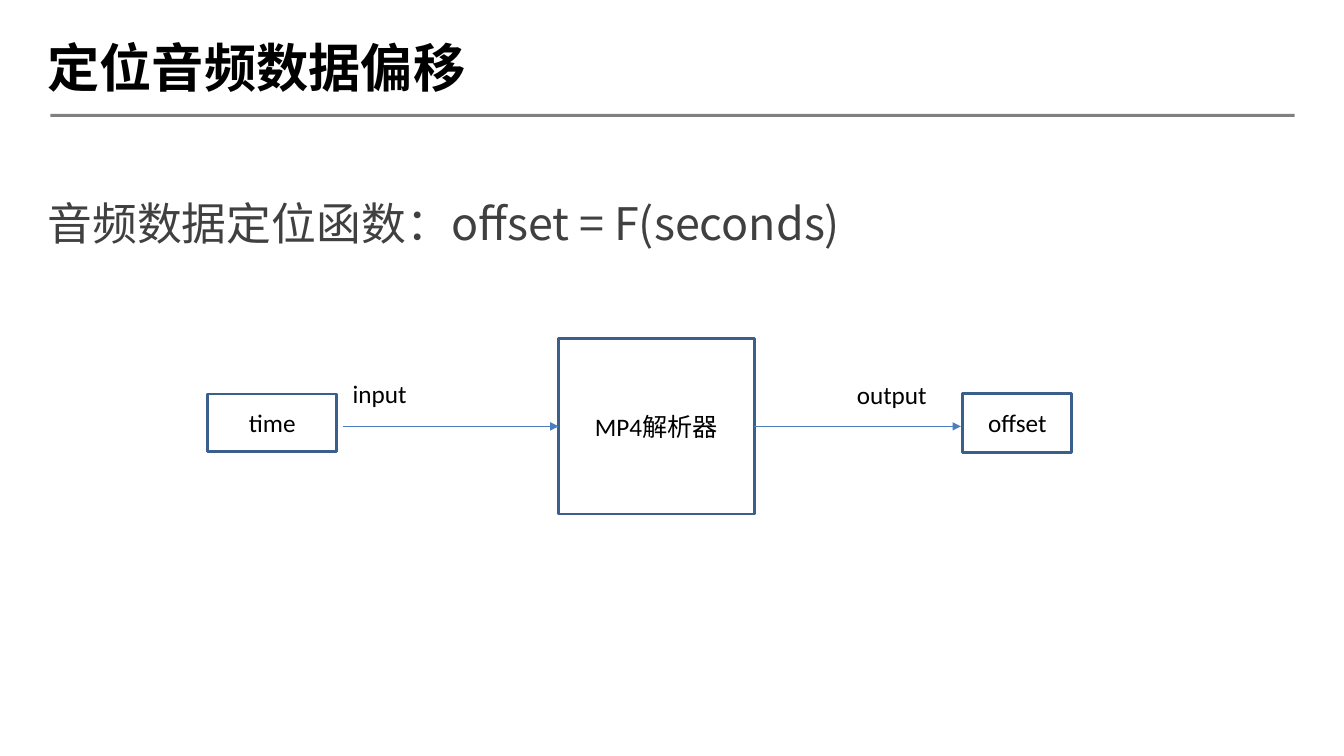
from lxml import etree
from pptx import Presentation
from pptx import util as u
from pptx.dml.color import RGBColor
from pptx.enum import shapes, text
from pptx.oxml import ns

BLACK = RGBColor(0x00, 0x00, 0x00)
WHITE = RGBColor(0xFF, 0xFF, 0xFF)
CHARCOAL = RGBColor(0x40, 0x40, 0x40)
RULE_GRAY = RGBColor(0x80, 0x80, 0x80)
BORDER_BLUE = RGBColor(0x3A, 0x5F, 0x8C)
ARROW_BLUE = RGBColor(0x4B, 0x7E, 0xBC)
LATIN = "Calibri"
CHINESE = "Noto Sans CJK SC"


class FlowSlide:
    """Draw a titled flow diagram on one slide in a shared style."""

    label_font = {"name": LATIN, "size": u.Pt(18)}
    box_frame = {"word_wrap": True, "vertical_anchor": text.MSO_ANCHOR.MIDDLE}
    label_frame = {"word_wrap": False, "auto_size": text.MSO_AUTO_SIZE.SHAPE_TO_FIT_TEXT}
    heading_frame = {"word_wrap": True, "auto_size": text.MSO_AUTO_SIZE.NONE}

    def __init__(self, deck):
        self.slide = deck.slides.add_slide(deck.slide_layouts[1])

    def apply(self, target, values):
        for name, value in values.items():
            setattr(target, name, value)

    def fill_text(self, holder, words, frame, font, color, align):
        self.apply(holder.text_frame, frame)
        paragraph = holder.text_frame.paragraphs[0]
        self.apply(paragraph, {"alignment": align, "space_before": u.Pt(0)})
        run = paragraph.add_run()
        run.text = words
        self.apply(run.font, font)
        run.font.color.rgb = color
        return paragraph, run

    def placeholder(self, index, words, area, anchor, size, bold, color):
        holder = self.slide.placeholders[index]
        sides = ("left", "top", "width", "height")
        self.apply(holder, dict(zip(sides, map(u.Inches, area))))
        paragraph, run = self.fill_text(
            holder, words, {**self.heading_frame, "vertical_anchor": anchor},
            {"name": CHINESE, "size": u.Pt(size), "bold": bold},
            color, text.PP_ALIGN.LEFT)
        east_asian = etree.SubElement(run._r.get_or_add_rPr(), ns.qn("a:ea"))
        east_asian.set("typeface", CHINESE)
        layout = paragraph._p.get_or_add_pPr()
        layout.set("marL", "0")
        layout.set("indent", "0")
        etree.SubElement(layout, ns.qn("a:buNone"))

    def rectangle(self, area, fill):
        block = self.slide.shapes.add_shape(
            shapes.MSO_SHAPE.RECTANGLE, *map(u.Inches, area))
        block.shadow.inherit = False
        block.fill.solid()
        block.fill.fore_color.rgb = fill
        return block

    def rule(self, area):
        self.rectangle(area, RULE_GRAY).line.fill.background()

    def box(self, words, area):
        block = self.rectangle(area, WHITE)
        block.line.color.rgb = BORDER_BLUE
        block.line.width = u.Pt(2)
        self.fill_text(block, words, self.box_frame, self.label_font, BLACK,
                       text.PP_ALIGN.CENTER)
        return block

    def label(self, words, area):
        caption = self.slide.shapes.add_textbox(*map(u.Inches, area))
        self.fill_text(caption, words, self.label_frame, self.label_font, BLACK,
                       text.PP_ALIGN.LEFT)

    def arrow(self, start, end, y):
        link = self.slide.shapes.add_connector(
            shapes.MSO_CONNECTOR.STRAIGHT,
            *map(u.Inches, (start, y, end, y)))
        link.line.color.rgb = ARROW_BLUE
        link.line.width = u.Pt(0.75)
        properties = link._element.spPr
        outline = properties.find(ns.qn("a:ln"))
        etree.SubElement(outline, ns.qn("a:tailEnd")).set("type", "triangle")
        etree.SubElement(properties, ns.qn("a:effectLst"))
        return link


def main():
    deck = Presentation()
    deck.slide_width, deck.slide_height = u.Inches(13.33), u.Inches(7.5)
    flow = FlowSlide(deck)
    flow.rule((0.5, 1.13, 12.34, 0.03))
    flow.placeholder(0, "定位音频数据偏移", (0.37, 0.3, 12.28, 0.72),
                     text.MSO_ANCHOR.MIDDLE, 37.3, True, BLACK)
    flow.placeholder(1, "音频数据定位函数：offset = F(seconds)", (0.37, 1.89, 12.6, 4.8),
                     text.MSO_ANCHOR.TOP, 32, False, CHARCOAL)

    parser = flow.box("MP4解析器", (5.54, 3.36, 1.94, 1.74))
    flow.arrow(3.4, 5.54, 4.23).end_connect(parser, 1)
    flow.arrow(7.48, 9.53, 4.23).begin_connect(parser, 3)
    flow.label("input", (3.4, 3.7, 0.74, 0.4))
    flow.label("output", (8.4, 3.71, 0.9, 0.4))
    flow.box("time", (2.06, 3.91, 1.28, 0.57))
    flow.box("offset", (9.55, 3.9, 1.08, 0.59))
    deck.save("out.pptx")


if __name__ == "__main__":
    main()
